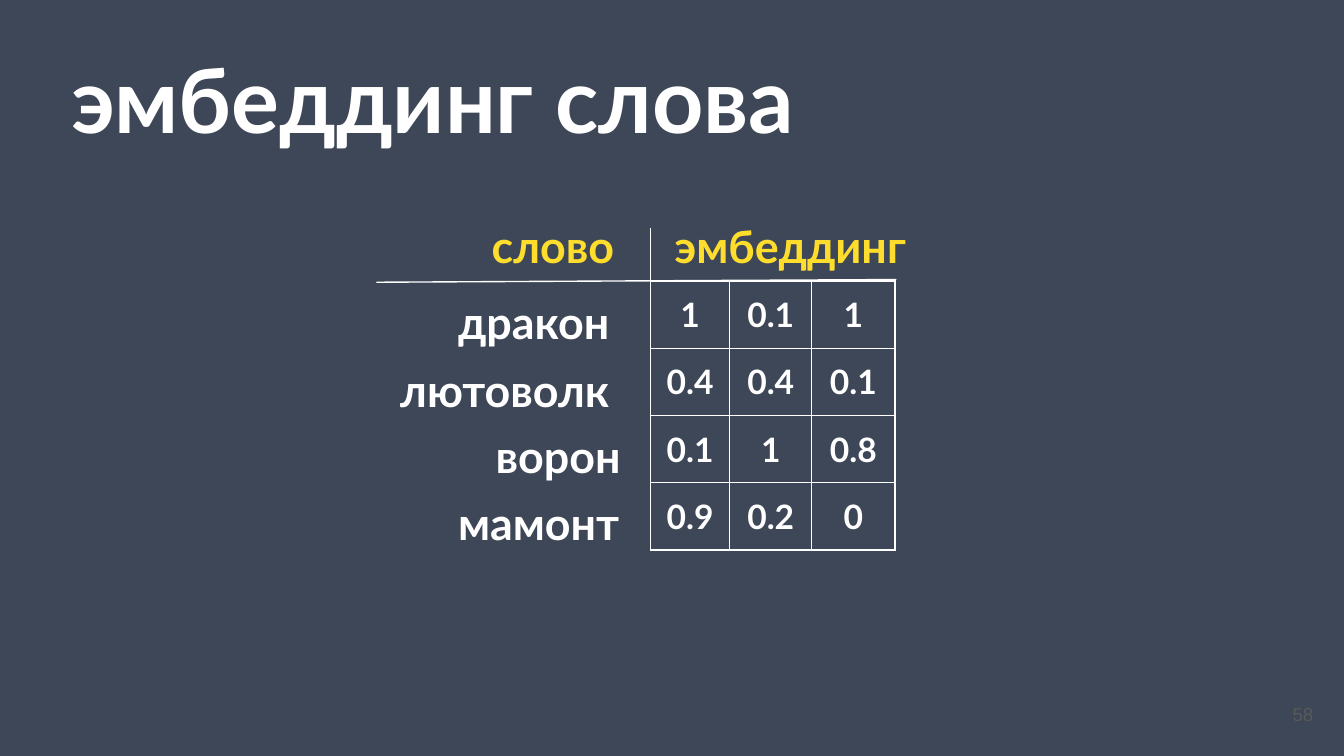
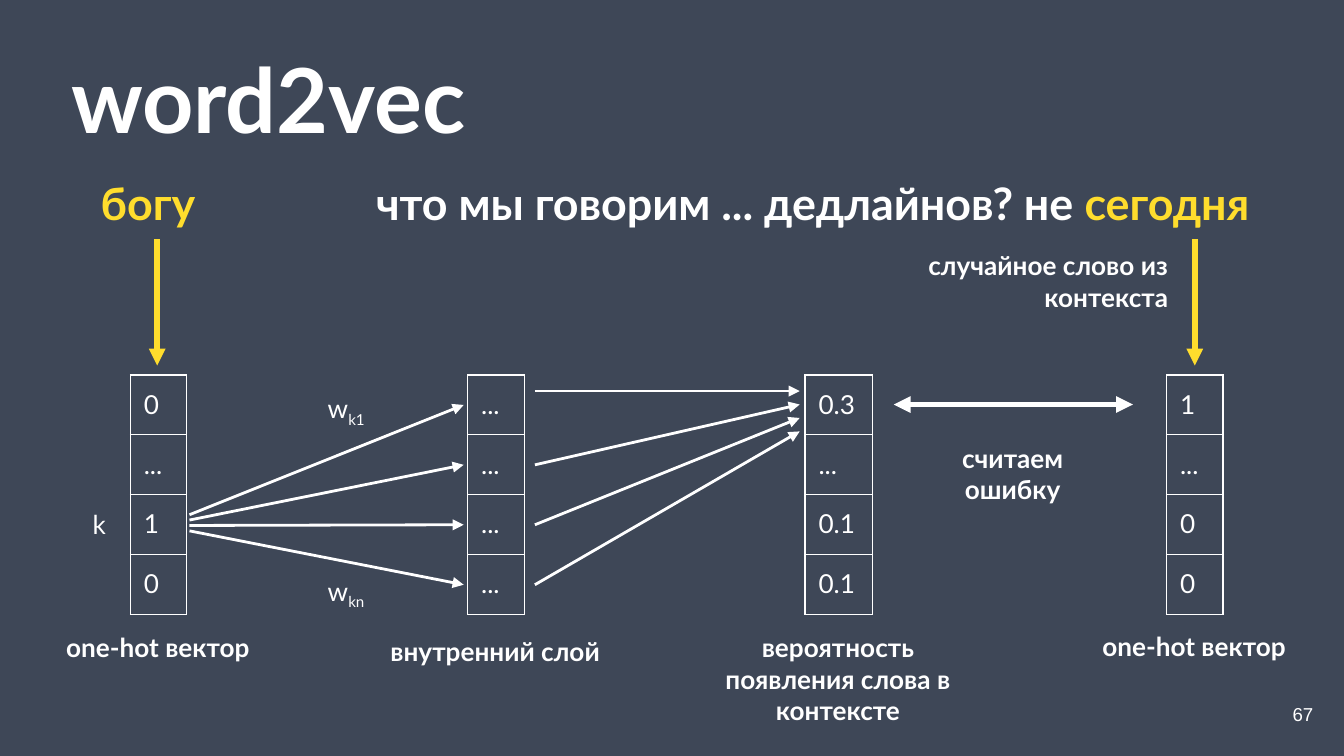
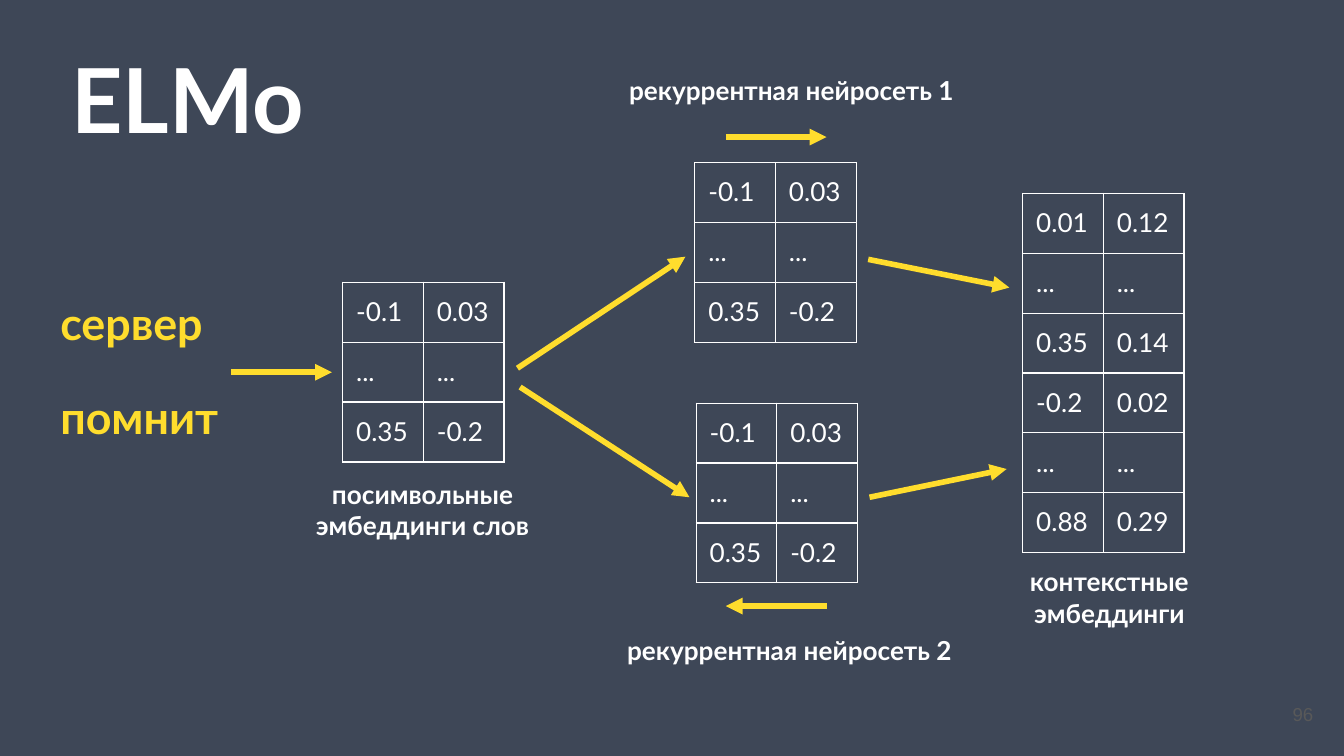
"""Build three slides on word embeddings: a lookup table, word2vec and ELMo."""
from dataclasses import dataclass

from lxml.etree import SubElement
from pptx import Presentation
from pptx.dml.color import RGBColor
from pptx.enum.shapes import MSO_CONNECTOR
from pptx.enum.text import MSO_ANCHOR, PP_ALIGN
from pptx.oxml.ns import qn
from pptx.util import Inches, Pt


@dataclass(frozen=True)
class Theme:
    back: str = "3E4757"
    white: str = "FFFFFF"
    yellow: str = "FFDD2D"
    grey: str = "595959"
    font: str = "Lato"
    number_font: str = "Arial"
    title: int = 48
    word: int = 24
    value: int = 18
    small: int = 14
    number: int = 10
    hairline: float = 0.75
    thin: float = 1.5
    thick: float = 3


@dataclass(frozen=True)
class Style:
    size: int
    color: str = Theme.white
    bold: bool = True
    align: PP_ALIGN = PP_ALIGN.LEFT
    top: float = 1
    font: str = Theme.font
    anchor: MSO_ANCHOR = MSO_ANCHOR.TOP


GRID = 0.1
COLUMNS, ROWS = 100, 56.25
ROW = 4.46
PAIR = 6
INSET = 1

TITLE = Style(Theme.title)
WORD = Style(Theme.word)
KEY = Style(Theme.word, Theme.yellow)
CAPTION = Style(Theme.small, align=PP_ALIGN.CENTER)
LAYER = Style(Theme.small, align=PP_ALIGN.CENTER, top=0.5)
ASIDE = Style(Theme.small, align=PP_ALIGN.RIGHT, top=0.5)
PLAIN = Style(Theme.small, bold=False)
VALUE = Style(Theme.value, align=PP_ALIGN.CENTER)

EMBEDDINGS = [["1", "0.1", "1"], ["0.4", "0.4", "0.1"],
              ["0.1", "1", "0.8"], ["0.9", "0.2", "0"]]
WORD_LABELS = [
    (["дракон"], (33.1, 20.9, 14.8, 5), WORD),
    (["лютоволк"], (28.8, 26, 19.6, 5), WORD),
    (["ворон"], (35.9, 30.9, 13.3, 5), WORD),
    (["мамонт"], (33.1, 35.9, 14.8, 5), WORD),
    (["слово"], (35.6, 15.3, 14.8, 5), KEY),
    (["эмбеддинг"], (49.2, 15.3, 22.6, 5), KEY),
]
RULES = [((28, 21), (66.7, 20.8)), ((48.4, 34.6), (48.4, 17))]

VECTORS_TOP = 27.9
VECTORS = [
    (9.7, 4.2, ["0", "...", "1", "0"]),
    (34.8, 4.2, ["...", "...", "...", "..."]),
    (59.9, 5, ["0.3", "...", "0.1", "0.1"]),
    (86.8, 4.2, ["1", "...", "0", "0"]),
]
VECTOR_LABELS = [
    (["считаем", "ошибку"], (64.8, 32.4, 21.1, 3.4), LAYER),
    (["вероятность", "появления слова в", "контексте"], (51.8, 46.5, 21.1, 7.7), LAYER),
    (["внутренний слой"], (26.3, 46.8, 21.1, 3.9), LAYER),
    (["one-hot вектор"], (78.3, 46.4, 21.1, 3.9), LAYER),
    (["one-hot вектор"], (1.2, 46.5, 21.1, 7.7), LAYER),
    (["случайное слово из контекста"], (66.8, 18.1, 21.1, 7.7), ASIDE),
    ([[("w", {}), ("k1", {"baseline": -25000})]], (23.4, 28.2, 5, 3.9), PLAIN),
    ([[("w", {}), ("kn", {"baseline": -25000})]], (23.4, 41.8, 5, 3.9), PLAIN),
    (["k"], (5.9, 36.8, 3.8, 3.4), PLAIN),
    ([[("что мы говорим ... дедлайнов? не ", {}), ("сегодня", {"color": Theme.yellow})]],
     (27, 12.1, 71.7, 5), WORD),
    (["богу"], (6.5, 12.1, 14.9, 6.3), KEY),
]
INPUT_ARROWS = [((11.7, 17.8), (11.7, 27.2)), ((88.9, 17.8), (88.9, 27.2))]
ERROR_ARROW = ((66.5, 30.1), (84.3, 30.1))

HALF = [["-0.1", "0.03"], ["...", "..."], ["0.35", "-0.2"]]
MATRICES = [
    (25.5, 21, HALF),
    (51.7, 12.1, HALF),
    (51.8, 30, HALF),
    (76.1, 14.4, [["0.01", "0.12"], ["...", "..."], ["0.35", "0.14"]]),
    (76.1, 27.75, [["-0.2", "0.02"], ["...", "..."], ["0.88", "0.29"]]),
]
ELMO_ARROWS = [
    ((17.2, 27.7), (24.7, 27.7)),
    ((38.5, 27.4), (51, 19.1)),
    ((38.7, 28.8), (51.3, 37)),
    ((54, 10.2), (61.5, 10.2)),
    ((61.5, 45.1), (54, 45.1)),
    ((64.6, 19.3), (75.1, 21.4)),
    ((64.7, 37), (74.9, 34.9)),
]
ELMO_LABELS = [
    (["сервер"], (3.5, 21, 20.1, 6.3), KEY),
    (["помнит"], (3.5, 28, 20.1, 6.3), KEY),
    (["посимвольные эмбеддинги слов"], (19.1, 34.6, 24.7, 3.7), CAPTION),
    (["рекуррентная нейросеть 1"], (44.9, 4.5, 28, 4.6), CAPTION),
    (["рекуррентная нейросеть 2"], (44.9, 46.2, 27.7, 4.6), CAPTION),
    (["контекстные", "эмбеддинги"], (70.2, 41.1, 24.7, 3.7), CAPTION),
]


def grid(*steps):
    """Turn grid steps into lengths."""
    return [Inches(round(step * GRID, 3)) for step in steps]


def write(frame, paragraphs, style):
    """Fill a text frame with strings or lists of (text, changes) runs."""
    for index, content in enumerate(paragraphs):
        paragraph = frame.paragraphs[0] if index == 0 else frame.add_paragraph()
        paragraph.alignment = style.align
        font = paragraph.font
        font.name, font.size, font.bold = style.font, Pt(style.size), style.bold
        font.color.rgb = RGBColor.from_string(style.color)
        runs = [(content, {})] if isinstance(content, str) else content
        for text, changes in runs:
            run = paragraph.add_run()
            run.text = text
            if "color" in changes:
                run.font.color.rgb = RGBColor.from_string(changes["color"])
            if "baseline" in changes:
                run._r.get_or_add_rPr().set("baseline", str(changes["baseline"]))


def add_text(slide, paragraphs, at, style):
    """Place a wrapped text box."""
    frame = slide.shapes.add_textbox(*grid(*at)).text_frame
    frame.word_wrap = True
    frame.vertical_anchor = style.anchor
    frame.margin_left, frame.margin_right = grid(INSET, INSET)
    frame.margin_top, frame.margin_bottom = grid(style.top, style.top)
    write(frame, paragraphs, style)


def add_grid(slide, left, top, widths, row_height, values, style):
    """Place an unfilled table with thin white borders."""
    table = slide.shapes.add_table(
        len(values), len(widths),
        *grid(left, top, sum(widths), row_height * len(values))).table
    table.first_row = table.horz_banding = False
    for column, width in zip(table.columns, grid(*widths)):
        column.width = width
    for row, texts in zip(table.rows, values):
        row.height = grid(row_height)[0]
        for cell, text in zip(row.cells, texts):
            cell.margin_left, cell.margin_right, cell.margin_top, cell.margin_bottom = \
                grid(*[INSET] * 4)
            properties = cell._tc.get_or_add_tcPr()
            for side in ("lnL", "lnR", "lnT", "lnB"):
                border = SubElement(properties, qn(f"a:{side}"), w=str(Pt(Theme.hairline)))
                fill = SubElement(border, qn("a:solidFill"))
                SubElement(fill, qn("a:srgbClr"), val=Theme.white)
            cell.fill.background()
            write(cell.text_frame, [text], style)


def add_line(slide, start, end, color, width, ends=("tailEnd",)):
    """Draw a straight line with triangles at the named ends."""
    line = slide.shapes.add_connector(MSO_CONNECTOR.STRAIGHT, *grid(*start, *end))
    line.line.color.rgb = RGBColor.from_string(color)
    line.line.width = Pt(width)
    for end_name in ends:
        SubElement(line.line._get_or_add_ln(), qn(f"a:{end_name}"), type="triangle")
    SubElement(line._element.spPr, qn("a:effectLst"))


def add_labels(slide, labels):
    """Place every label of a slide."""
    for paragraphs, at, style in labels:
        add_text(slide, paragraphs, at, style)


def start_slide(deck, title, title_width, number, number_color):
    """Add a dark slide with its title and number."""
    slide = deck.slides.add_slide(deck.slide_layouts[6])
    slide.background.fill.solid()
    slide.background.fill.fore_color.rgb = RGBColor.from_string(Theme.back)
    add_text(slide, [title], (4.3, 2.3, title_width, 8.8), TITLE)
    add_text(slide, [number], (92.7, 51, 6, 4.3),
             Style(Theme.number, number_color, False, PP_ALIGN.RIGHT,
                   font=Theme.number_font, anchor=MSO_ANCHOR.MIDDLE))
    return slide


def build_embedding(deck):
    """Show words beside their embedding values."""
    slide = start_slide(deck, "эмбеддинг слова", 94.9, "58", Theme.grey)
    add_grid(slide, 48.4, 20.9, (5.9, 6.1, 6.2), 5, EMBEDDINGS, VALUE)
    add_labels(slide, WORD_LABELS)
    for start, end in RULES:
        add_line(slide, start, end, Theme.white, Theme.hairline, ())


def build_word2vec(deck):
    """Show the network from a one-hot vector to a context word."""
    slide = start_slide(deck, "word2vec", 82.2, "67", Theme.white)
    for left, width, values in VECTORS:
        add_grid(slide, left, VECTORS_TOP, [width], ROW, [[value] for value in values], PLAIN)
    centres = [VECTORS_TOP + ROW * (row + 0.5) for row in range(4)]
    for row, centre in enumerate(centres):
        add_line(slide, (14.1, 38.3 + 0.4 * row), (34.5, centre), Theme.white, Theme.thin)
        merge = 29.1 + row
        leave = centre if row else merge
        add_line(slide, (39.8, leave), (59.5, merge), Theme.white, Theme.thin)
    for start, end in INPUT_ARROWS:
        add_line(slide, start, end, Theme.yellow, Theme.thick)
    add_line(slide, *ERROR_ARROW, Theme.white, Theme.thick, ("headEnd", "tailEnd"))
    add_labels(slide, VECTOR_LABELS)


def build_elmo(deck):
    """Show two recurrent networks joining into context embeddings."""
    slide = start_slide(deck, "ELMo", 23.2, "96", Theme.grey)
    for left, top, values in MATRICES:
        for index, column in enumerate(zip(*values)):
            add_grid(slide, left + PAIR * index, top, [PAIR], ROW,
                     [[value] for value in column], PLAIN)
    for start, end in ELMO_ARROWS:
        add_line(slide, start, end, Theme.yellow, Theme.thick)
    add_labels(slide, ELMO_LABELS)


def main():
    """Build and save the deck."""
    deck = Presentation()
    deck.slide_width, deck.slide_height = grid(COLUMNS, ROWS)
    for build in (build_embedding, build_word2vec, build_elmo):
        build(deck)
    deck.save("out.pptx")


if __name__ == "__main__":
    main()
